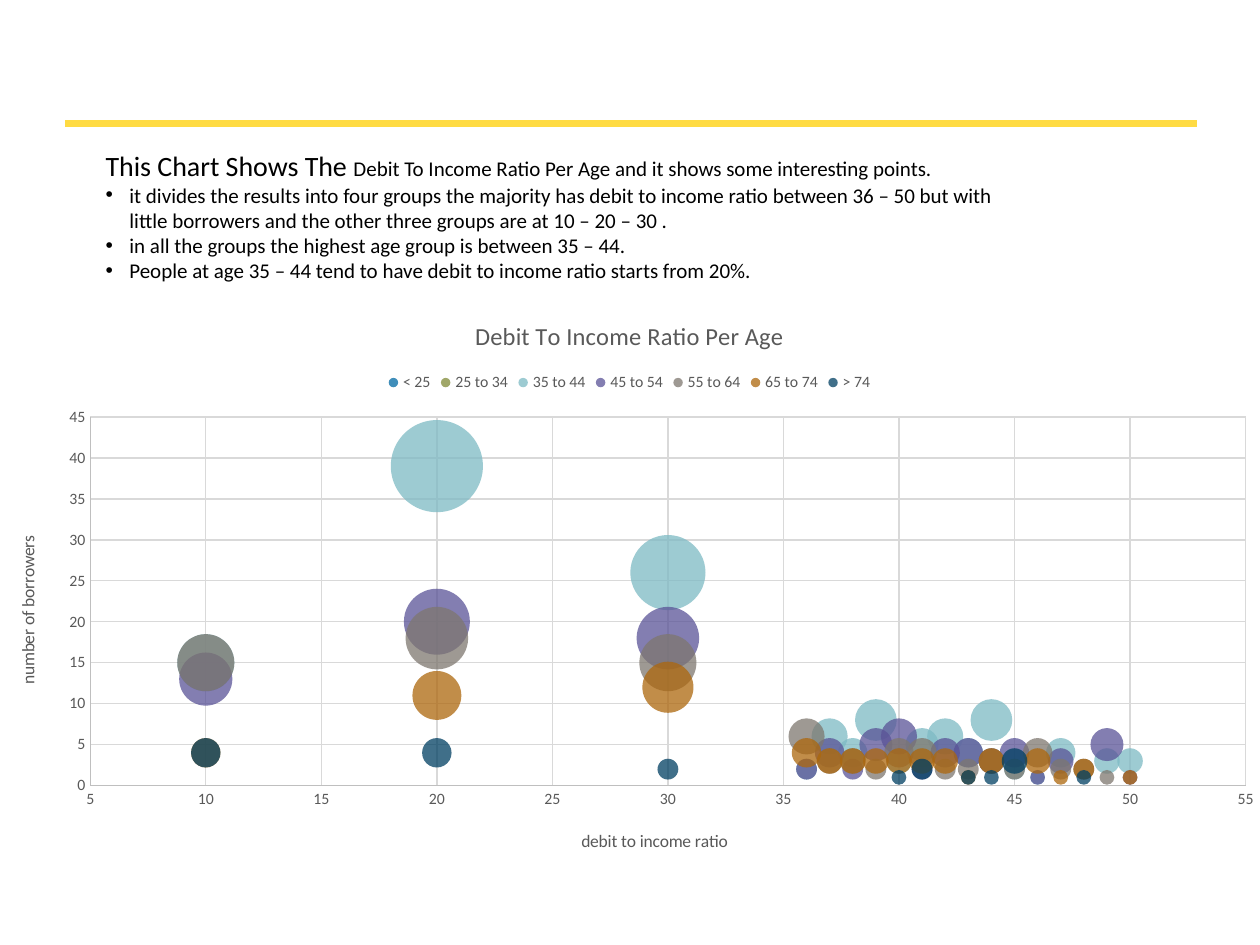
from lxml.etree import SubElement
from pptx import Presentation
from pptx.chart.data import BubbleChartData
from pptx.dml.color import RGBColor
from pptx.enum.chart import XL_CHART_TYPE as ChartType
from pptx.enum.chart import XL_LEGEND_POSITION as LegendPosition
from pptx.enum.chart import XL_TICK_MARK as TickMark
from pptx.enum.shapes import MSO_CONNECTOR as Connector
from pptx.enum.text import MSO_AUTO_SIZE as AutoSize
from pptx.oxml.ns import qn
from pptx.util import Cm, Pt

FONT = "Calibri"
BLACK = RGBColor(0x00, 0x00, 0x00)
YELLOW = RGBColor(0xFF, 0xDB, 0x43)
GREY_TEXT = RGBColor(0x59, 0x59, 0x59)
GREY_AXIS = RGBColor(0xBF, 0xBF, 0xBF)
GREY_GRID = RGBColor(0xD9, 0xD9, 0xD9)


def style_font(font, size, color):
    font.name = FONT
    font.size = Pt(size)
    font.bold = False
    font.color.rgb = color


def place(element, index, **settings):
    """Give a chart part a manual layout, as fractions of the chart."""
    layout = element.find(qn("c:layout"))
    if layout is None:
        layout = element.makeelement(qn("c:layout"))
        element.insert(index, layout)
    manual = SubElement(layout, qn("c:manualLayout"))
    for name, value in settings.items():
        SubElement(manual, qn(f"c:{name}")).set("val", str(value))


presentation = Presentation()
presentation.slide_width = Cm(25.4)
presentation.slide_height = Cm(19.05)
slide = presentation.slides.add_slide(presentation.slide_layouts[6])

# Yellow rule
rule = slide.shapes.add_connector(Connector.STRAIGHT, Cm(1.32), Cm(2.49), Cm(24.13), Cm(2.49))
rule.line.color.rgb = YELLOW
rule.line.width = Pt(4.5)
SubElement(rule._element.spPr, qn("a:effectLst"))

# Findings
findings = [
    [("This Chart Shows The ", 16),
     ("Debit To Income Ratio Per Age and it shows some interesting points.", 12)],
    [("it divides the results into four groups the majority has debit to income ratio "
      "between 36 – 50 but with little borrowers and the other three groups are at "
      "10 – 20 – 30 .", 12)],
    [("in all the groups the highest age group is between 35 – 44.", 12)],
    [("People at age 35 – 44 tend to have debit to income ratio starts from 20%.", 12)],
]
text_box = slide.shapes.add_textbox(Cm(1.88), Cm(2.87), Cm(19.15), Cm(3.58))
text_frame = text_box.text_frame
text_frame.word_wrap = True
text_frame.auto_size = AutoSize.SHAPE_TO_FIT_TEXT
for number, runs in enumerate(findings):
    paragraph = text_frame.add_paragraph() if number else text_frame.paragraphs[0]
    for text, size in runs:
        run = paragraph.add_run()
        run.text = text
        style_font(run.font, size, BLACK)
    if number:
        properties = paragraph._p.get_or_add_pPr()
        properties.set("marL", str(Cm(0.48)))
        properties.set("indent", str(-Cm(0.48)))
        SubElement(properties, qn("a:buFont")).set("typeface", "Arial")
        SubElement(properties, qn("a:buChar")).set("char", "•")

# Borrowers per ratio; the bubble size is the number of borrowers too
ratios = [10, 20, 30, *range(36, 51)]
age_groups = [
    ("< 25", RGBColor(0x00, 0x69, 0xA3),
     [3, 18, 10, None, 1, 1, 1, None, 3, 3, 2, 2, None, 1, None, 2, None, None]),
    ("25 to 34", RGBColor(0x81, 0x8A, 0x37),
     [10, 12, 10, 2, None, None, 3, 1, 1, 3, 1, 2, 1, 1, 1, 2, None, None]),
    ("35 to 44", RGBColor(0x7D, 0xBA, 0xC4),
     [15, 39, 26, 2, 6, 4, 8, 3, 5, 6, 4, 8, 2, 1, 4, None, 3, 3]),
    ("45 to 54", RGBColor(0x5A, 0x53, 0x97),
     [13, 20, 18, 2, 4, 2, 5, 6, 2, 4, 4, 3, 4, 1, 3, None, 5, 1]),
    ("55 to 64", RGBColor(0x7E, 0x77, 0x6F),
     [15, 18, 15, 6, 3, 3, 2, 4, 4, 2, 2, 3, 2, 4, 2, 2, 1, None]),
    ("65 to 74", RGBColor(0xAD, 0x67, 0x0D),
     [4, 11, 12, 4, 3, 3, 3, 3, 3, 3, 1, 3, None, 3, 1, 2, None, 1]),
    ("> 74", RGBColor(0x00, 0x3F, 0x62),
     [4, 4, 2, None, None, None, None, 1, 2, None, 1, 1, 3, None, None, 1, None, None]),
]
chart_data = BubbleChartData()
for name, _, borrowers in age_groups:
    group = chart_data.add_series(name)
    for ratio, count in zip(ratios, borrowers):
        if count is not None:
            group.add_data_point(ratio, count, count)

# Bubble chart
chart = slide.shapes.add_chart(
    ChartType.BUBBLE, Cm(-0.25), Cm(5.97), Cm(25.88), Cm(11.61), chart_data).chart
style_font(chart.font, 10, BLACK)
plot = chart.plots[0]
plot.bubble_scale = 100
for series, (_, color, _) in zip(plot.series, age_groups):
    fill = series.format.fill
    fill.solid()
    fill.fore_color.rgb = color
    color_element = next(series._element.iter(qn("a:srgbClr")))
    SubElement(color_element, qn("a:alpha")).set("val", "75000")
    series.format.line.fill.background()

# Chart title and legend
chart.has_title = True
run = chart.chart_title.text_frame.paragraphs[0].add_run()
run.text = "Debit To Income Ratio Per Age"
style_font(run.font, 14, GREY_TEXT)
chart.has_legend = True
chart.legend.position = LegendPosition.TOP
chart.legend.include_in_layout = False
style_font(chart.legend.font, 9, GREY_TEXT)

# Axes
axes = [
    (chart.category_axis, "debit to income ratio", 5, 55, 0.46, 0.92),
    (chart.value_axis, "number of borrowers", 0, 45, 0.02, 0.41),
]
for axis, title, minimum, maximum, left, top in axes:
    axis.minimum_scale, axis.maximum_scale, axis.major_unit = minimum, maximum, 5
    axis.major_tick_mark = axis.minor_tick_mark = TickMark.NONE
    style_font(axis.tick_labels.font, 9, GREY_TEXT)
    axis.has_major_gridlines = True
    for line, color in ((axis.format.line, GREY_AXIS),
                        (axis.major_gridlines.format.line, GREY_GRID)):
        line.color.rgb = color
        line.width = Pt(0.75)
    run = axis.axis_title.text_frame.paragraphs[0].add_run()
    run.text = title
    style_font(run.font, 10, GREY_TEXT)
    place(axis.axis_title._element, 1, xMode="edge", yMode="edge", x=left, y=top)
chart.value_axis.axis_title.text_frame._txBody.bodyPr.set("rot", "-5400000")
place(chart._chartSpace.chart.plotArea, 0, layoutTarget="inner",
      xMode="edge", yMode="edge", x=0.08, y=0.21, w=0.9, h=0.64)

presentation.save("out.pptx")
